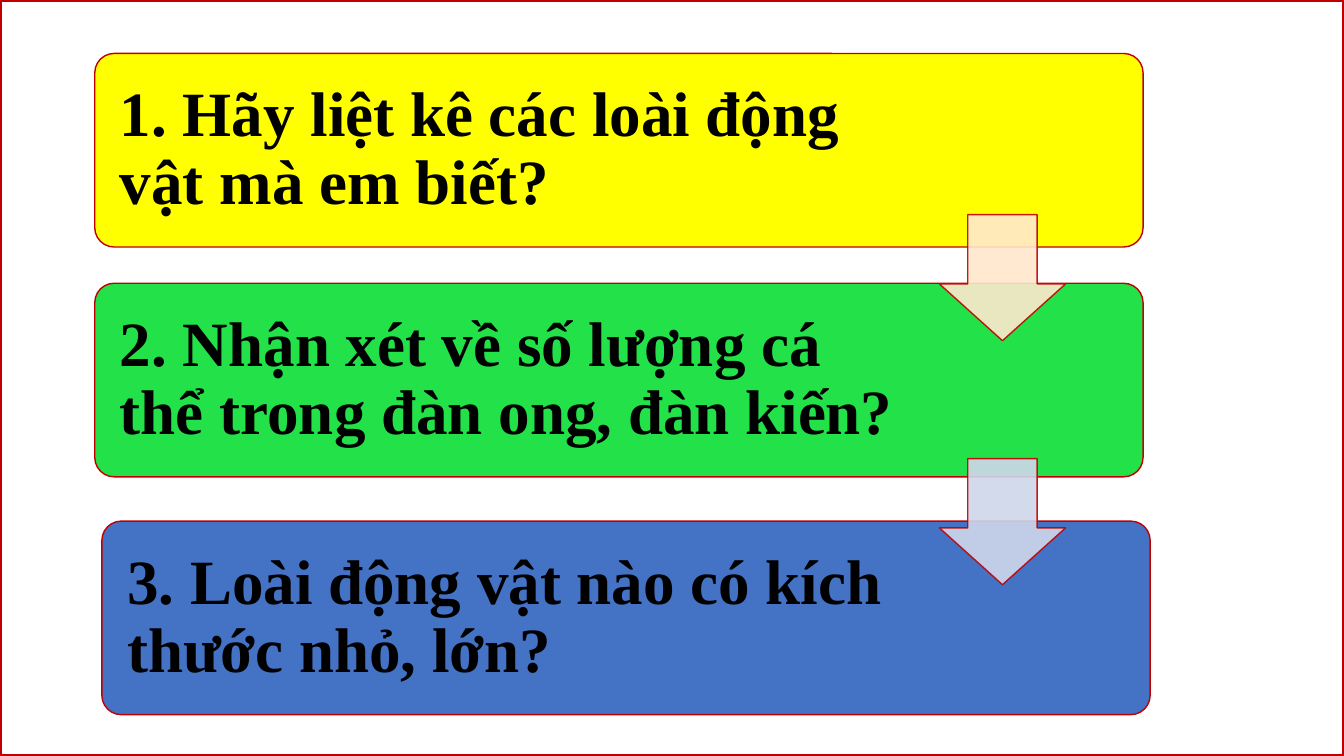
"""Build a slide of three question panels linked by down arrows."""
from dataclasses import dataclass

import pptx
import pptx.dml.color
import pptx.enum.shapes
import pptx.enum.text
import pptx.oxml
import pptx.oxml.ns
import pptx.util

COLORS = {
    "white": "FFFFFF", "border": "C00000", "text": "000000", "yellow": "FFFF00",
    "green": "23E148", "blue": "4472C4", "peach": "FFE8CC", "lavender": "CFD6EA",
}
SHAPES = pptx.enum.shapes.MSO_SHAPE
WIDTH, HEIGHT = pptx.util.Inches(13.333), pptx.util.Inches(7.5)
GRID = 100
PANEL_SIZE = (78, 25.6)
ARROW_SIZE = (9.38, 16.67)
ARROW_COLUMN = 69.9
TEXT_OFFSET = (0.45, 0.75)


@dataclass(frozen=True)
class Panel:
    """A question panel placed on the grid."""
    text: str
    column: float
    row: float
    text_columns: float
    color: str


@dataclass(frozen=True)
class Arrow:
    """A down arrow between two panels."""
    row: float
    color: str


PANELS = (
    Panel("1. Hãy liệt kê các loài động vật mà em biết?", 7.05, 7.07, 62.48, "yellow"),
    Panel("2. Nhận xét về số lượng cá thể trong đàn ong, đàn kiến?", 7.05, 37.47, 60.9, "green"),
    Panel("3. Loài động vật nào có kích thước nhỏ, lớn?", 7.58, 68.93, 60.9, "blue"),
)
ARROWS = (Arrow(28.4, "peach"), Arrow(60.67, "lavender"))


def rgb(name: str) -> pptx.dml.color.RGBColor:
    """Look up a named colour."""
    return pptx.dml.color.RGBColor.from_string(COLORS[name])


def place(column: float, row: float, columns: float, rows: float) -> tuple[int, ...]:
    """Turn grid units into slide lengths."""
    shares = ((column, WIDTH), (row, HEIGHT), (columns, WIDTH), (rows, HEIGHT))
    return tuple(round(share * whole / GRID) for share, whole in shares)


def add_shape(page, kind, area: tuple[int, ...], color: str, *, weight: float = 1,
              adjustments: tuple[float, ...] = (), opacity: int = 100) -> None:
    """Draw a filled and outlined preset shape."""
    shape = page.shapes.add_shape(kind, *area)
    shape.shadow.inherit = False
    for index, value in enumerate(adjustments):
        shape.adjustments[index] = value
    shape.fill.solid()
    shape.fill.fore_color.rgb = rgb(color)
    shape.line.color.rgb = rgb("border")
    shape.line.width = pptx.util.Pt(weight)
    if opacity < 100:
        for element in shape.element.spPr.iter(pptx.oxml.ns.qn("a:srgbClr")):
            alpha = pptx.oxml.parse_xml(f'<a:alpha {pptx.oxml.ns.nsdecls("a")} val="{opacity * 1000}"/>')
            element.append(alpha)


def add_text(page, text: str, area: tuple[int, ...], *, size: float = 45, color: str = "text",
             font: str = "Times New Roman", bold: bool = True, inset: float = 0.19,
             line_spacing: float = 0.9) -> None:
    """Write one wrapped paragraph, centred vertically."""
    frame = page.shapes.add_textbox(*area).text_frame
    frame.word_wrap = True
    frame.vertical_anchor = pptx.enum.text.MSO_ANCHOR.MIDDLE
    for side in ("left", "top", "right", "bottom"):
        setattr(frame, f"margin_{side}", pptx.util.Inches(inset))
    para = frame.paragraphs[0]
    para.line_spacing = line_spacing
    span = para.add_run()
    span.text = text
    span.font.name, span.font.size, span.font.bold = font, pptx.util.Pt(size), bold
    span.font.color.rgb = rgb(color)


def add_panel(page, panel: Panel) -> None:
    """Draw a rounded panel and its question."""
    add_shape(page, SHAPES.ROUNDED_RECTANGLE, place(panel.column, panel.row, *PANEL_SIZE),
              panel.color, adjustments=(0.1,))
    inset_columns, inset_rows = TEXT_OFFSET
    text_area = place(panel.column + inset_columns, panel.row + inset_rows,
                      panel.text_columns, PANEL_SIZE[1] - 2 * inset_rows)
    add_text(page, panel.text, text_area)


def add_arrow(page, arrow: Arrow) -> None:
    """Draw a slightly transparent down arrow."""
    add_shape(page, SHAPES.DOWN_ARROW, place(ARROW_COLUMN, arrow.row, *ARROW_SIZE),
              arrow.color, adjustments=(0.55, 0.45), opacity=90)


def main() -> None:
    """Build and save the deck."""
    deck = pptx.Presentation()
    deck.slide_width, deck.slide_height = WIDTH, HEIGHT
    page = deck.slides.add_slide(deck.slide_layouts[6])
    add_shape(page, SHAPES.RECTANGLE, place(0, 0, GRID, GRID), "white", weight=2.25)
    for panel in PANELS:
        add_panel(page, panel)
    for arrow in ARROWS:
        add_arrow(page, arrow)
    deck.save("out.pptx")


if __name__ == "__main__":
    main()
